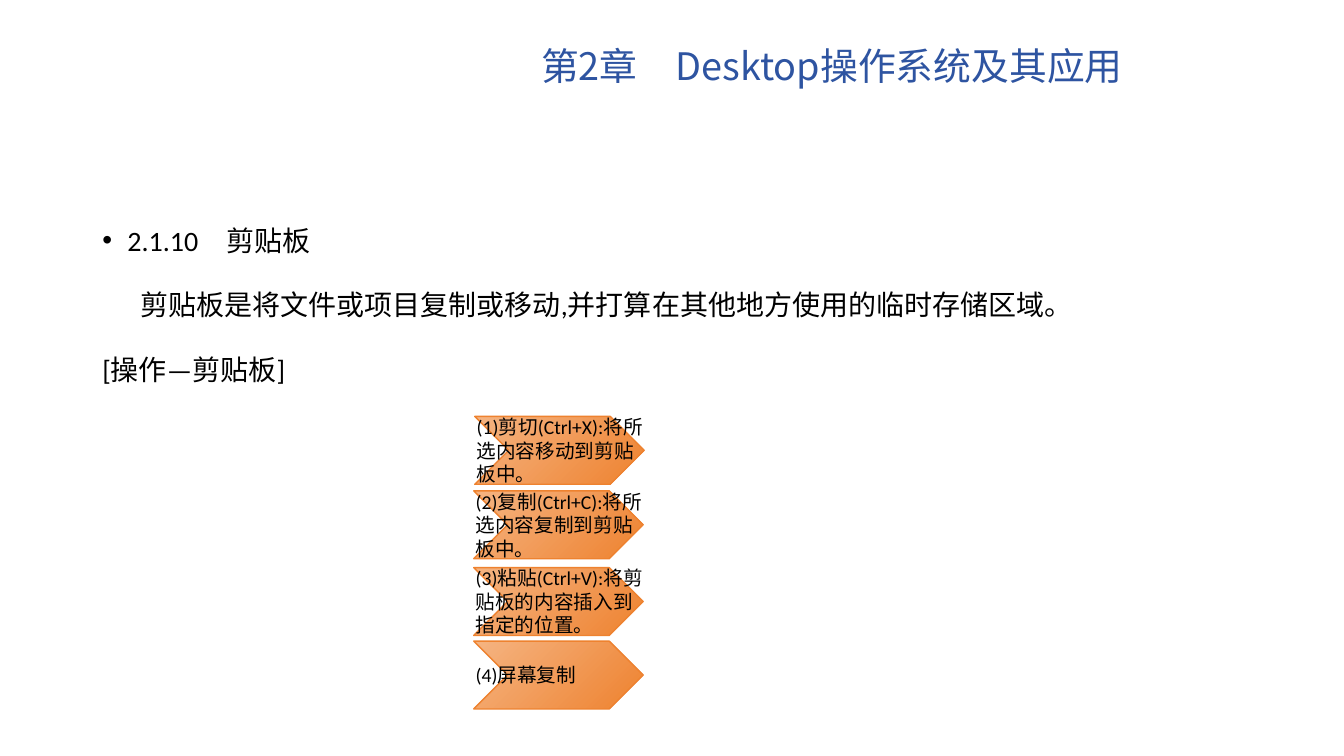
from lxml.etree import SubElement
from pptx import Presentation
from pptx.dml.color import RGBColor
from pptx.enum.shapes import MSO_SHAPE
from pptx.enum.text import MSO_ANCHOR, PP_ALIGN
from pptx.oxml.ns import qn
from pptx.util import Pt

COLORS = {
    "title": "2E54A1",
    "text": "000000",
    "chevron_light": "F5B482",
    "chevron_dark": "EE822F",
}
TITLE = "第2章　Desktop操作系统及其应用"
BODY = [
    ("2.1.10　剪贴板", -18, "•"),
    ("剪贴板是将文件或项目复制或移动,并打算在其他地方使用的临时存储区域。", 9, None),
    ("[操作—剪贴板]", -18, None),
]
STEPS = [
    ("(1)剪切(Ctrl+X):将所选内容移动到剪贴板中。", 339.1, 297.4),
    ("(2)复制(Ctrl+C):将所选内容复制到剪贴板中。", 338.4, 350.6),
    ("(3)粘贴(Ctrl+V):将剪贴板的内容插入到指定的位置。", 338.4, 405.4),
    ("(4)屏幕复制", 338.4, 457.9),
]
STEP_SIZE = (121, 48.5)


def color(name):
    """Return the named colour."""
    return RGBColor.from_string(COLORS[name])


def apply(target, values):
    """Set each attribute of the target from a dict."""
    for name, value in values.items():
        setattr(target, name, value)


def add_run(paragraph, text, size, font_name="Calibri", color_name="text"):
    """Add one run that uses the font for Latin and Chinese text."""
    run = paragraph.add_run()
    run.text = text
    apply(run.font, {"size": Pt(size), "name": font_name})
    run.font.color.rgb = color(color_name)
    SubElement(run.font._element, qn("a:ea"), typeface=font_name)


def add_text_frame(shapes, box, **values):
    """Add a wrapping text box and return its text frame."""
    frame = shapes.add_textbox(*map(Pt, box)).text_frame
    apply(frame, {"word_wrap": True, **values})
    return frame


def add_title(slide, box):
    """Place the right-aligned chapter title in the upper part of the box."""
    frame = add_text_frame(slide.shapes, box, vertical_anchor=MSO_ANCHOR.MIDDLE,
                           margin_bottom=Pt(39))
    paragraph = frame.paragraphs[0]
    apply(paragraph, {"alignment": PP_ALIGN.RIGHT, "line_spacing": 0.9})
    add_run(paragraph, TITLE, 27, "Noto Sans CJK JP", "title")


def add_body(slide, box):
    """Place the section heading and its explanation."""
    frame = add_text_frame(slide.shapes, box)
    for index, (text, indent, bullet) in enumerate(BODY):
        paragraph = frame.add_paragraph() if index else frame.paragraphs[0]
        apply(paragraph, {"line_spacing": 1.5, "space_before": Pt(10 if index else 0)})
        properties = paragraph._p.get_or_add_pPr()
        properties.set("marL", str(Pt(18)))
        properties.set("indent", str(Pt(indent)))
        if bullet:
            SubElement(properties, qn("a:buFont"), typeface="Arial")
            SubElement(properties, qn("a:buChar"), char=bullet)
        else:
            SubElement(properties, qn("a:buNone"))
        add_run(paragraph, text, 20)


def add_step(shapes, text, box):
    """Place a gradient chevron with its label over the same box."""
    chevron = shapes.add_shape(MSO_SHAPE.CHEVRON, *map(Pt, box))
    chevron.shadow.inherit = False
    chevron.fill.gradient()
    chevron.fill.gradient_angle = 315
    for stop, position, name in zip(chevron.fill.gradient_stops, (0, 1),
                                    ("chevron_light", "chevron_dark")):
        stop.position = position
        stop.color.rgb = color(name)
    chevron.line.color.rgb = color("chevron_dark")
    chevron.line.width = Pt(1)
    frame = add_text_frame(shapes, box, vertical_anchor=MSO_ANCHOR.MIDDLE,
                           margin_left=Pt(1.4), margin_top=Pt(0.7),
                           margin_right=0, margin_bottom=Pt(0.7))
    add_run(frame.paragraphs[0], text, 14)


def add_steps(slide):
    """Place the clipboard operations as one group."""
    group = slide.shapes.add_group_shape()
    for text, left, top in STEPS:
        add_step(group.shapes, text, (left, top, *STEP_SIZE))


def main():
    """Build and save the clipboard slide."""
    presentation = Presentation()
    apply(presentation, {"slide_width": Pt(960), "slide_height": Pt(540)})
    slide = presentation.slides.add_slide(presentation.slide_layouts[6])
    add_body(slide, (66, 144, 828, 343))
    add_title(slide, (156, 21.6, 653, 90))
    add_steps(slide)
    presentation.save("out.pptx")


if __name__ == "__main__":
    main()
